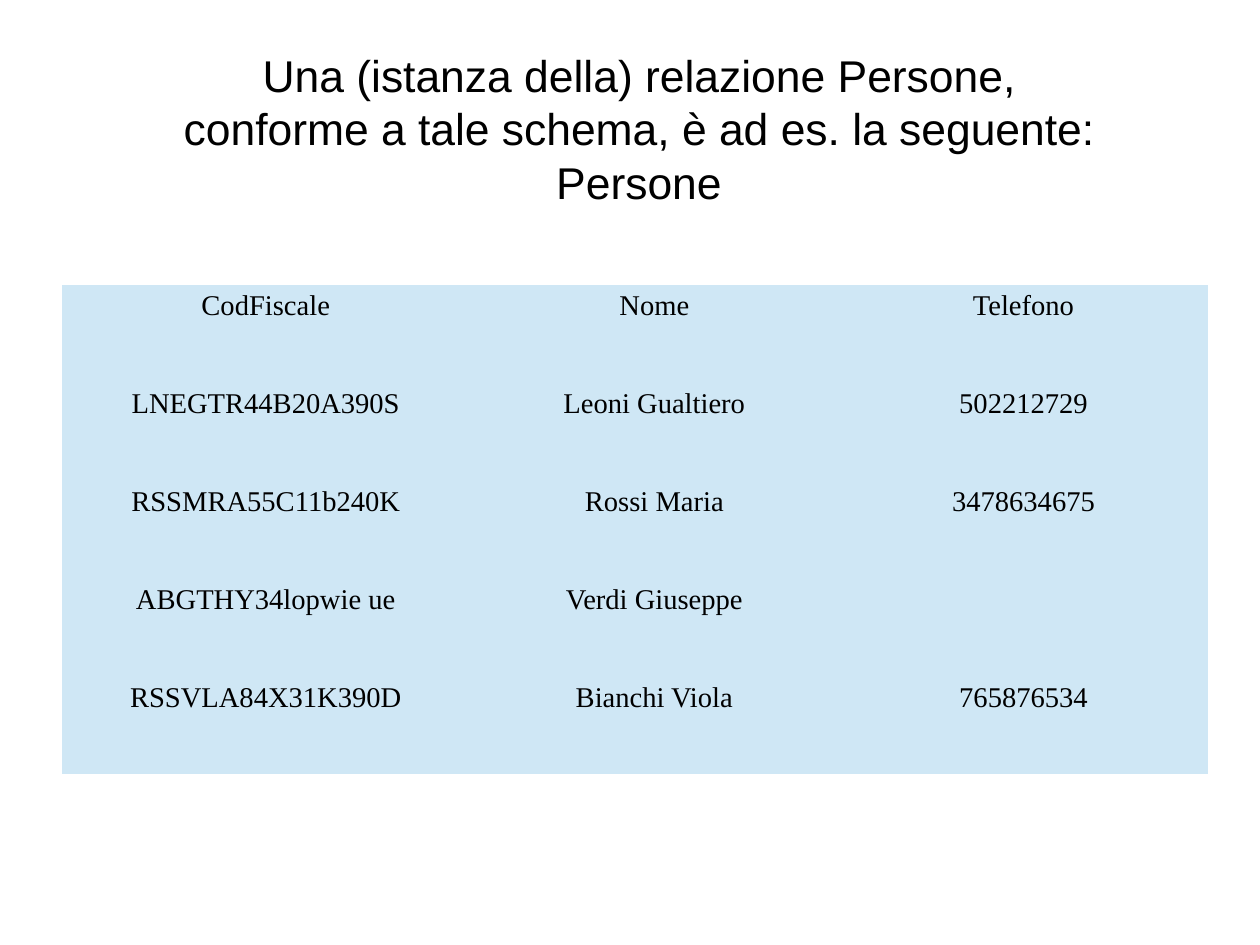
from lxml import etree
from pptx import Presentation
from pptx.dml.color import RGBColor
from pptx.enum.text import MSO_ANCHOR, MSO_AUTO_SIZE, PP_ALIGN
from pptx.oxml.ns import qn
from pptx.util import Inches, Pt

CENTER = PP_ALIGN.CENTER
MIDDLE = MSO_ANCHOR.MIDDLE
GROW = MSO_AUTO_SIZE.SHAPE_TO_FIT_TEXT
NO_STYLE_NO_GRID = "{2D5ABB26-0587-4C30-8999-92F81FD0307C}"
CENTIMETRES_PER_INCH = 2.54
TITLE_SIZE = 28
TITLE_LINES = [
    "Una (istanza della) relazione Persone,",
    "conforme a tale schema, è ad es. la seguente:",
    "Persone",
]
PEOPLE = [
    ["CodFiscale", "Nome", "Telefono"],
    ["LNEGTR44B20A390S", "Leoni Gualtiero", "502212729"],
    ["RSSMRA55C11b240K", "Rossi Maria", "3478634675"],
    ["ABGTHY34lopwie ue", "Verdi Giuseppe", ""],
    ["RSSVLA84X31K390D", "Bianchi Viola", "765876534"],
]
COLUMN_WIDTHS = [3.57, 3.23, 3.23]


def color(value):
    return RGBColor.from_string(value)


def format_paragraph(paragraph, name, size):
    paragraph.alignment = CENTER
    for font in [paragraph.font] + [run.font for run in paragraph.runs]:
        font.name = name
        font.size = Pt(size)
        font.color.rgb = color("000000")


presentation = Presentation()
presentation.slide_width = Inches(28 / CENTIMETRES_PER_INCH)
presentation.slide_height = Inches(21 / CENTIMETRES_PER_INCH)
slide = presentation.slides.add_slide(presentation.slide_layouts[5])

title = slide.shapes.title
title_box = {"left": 0.63, "top": 0.47, "width": 9.92, "height": 1.3}
for attribute, value in title_box.items():
    setattr(title, attribute, Inches(value))
frame = title.text_frame
frame.text = "\v".join(TITLE_LINES)
frame_format = {
    "margin_left": 0,
    "margin_top": 0,
    "margin_right": 0,
    "margin_bottom": 0,
    "vertical_anchor": MIDDLE,
    "word_wrap": True,
    "auto_size": GROW,
}
for attribute, value in frame_format.items():
    setattr(frame, attribute, value)
paragraph = frame.paragraphs[0]
format_paragraph(paragraph, "Arial", TITLE_SIZE)
for line_break in paragraph._p.findall(qn("a:br")):
    etree.SubElement(line_break, qn("a:rPr"), sz=str(TITLE_SIZE * 100))

table_frame = slide.shapes.add_table(
    len(PEOPLE), len(COLUMN_WIDTHS),
    Inches(0.54), Inches(2.49), Inches(sum(COLUMN_WIDTHS)), Inches(4.28),
)
table = table_frame.table
table.first_row = False
table.horz_banding = False
table._tbl.tblPr.find(qn("a:tableStyleId")).text = NO_STYLE_NO_GRID
for column, width in zip(table.columns, COLUMN_WIDTHS):
    column.width = Inches(width)
for row, person in zip(table.rows, PEOPLE):
    for cell, text in zip(row.cells, person):
        cell.text = text
        cell.fill.solid()
        cell.fill.fore_color.rgb = color("CFE7F5")
        format_paragraph(cell.text_frame.paragraphs[0], "Times New Roman", 18)

presentation.save("out.pptx")
